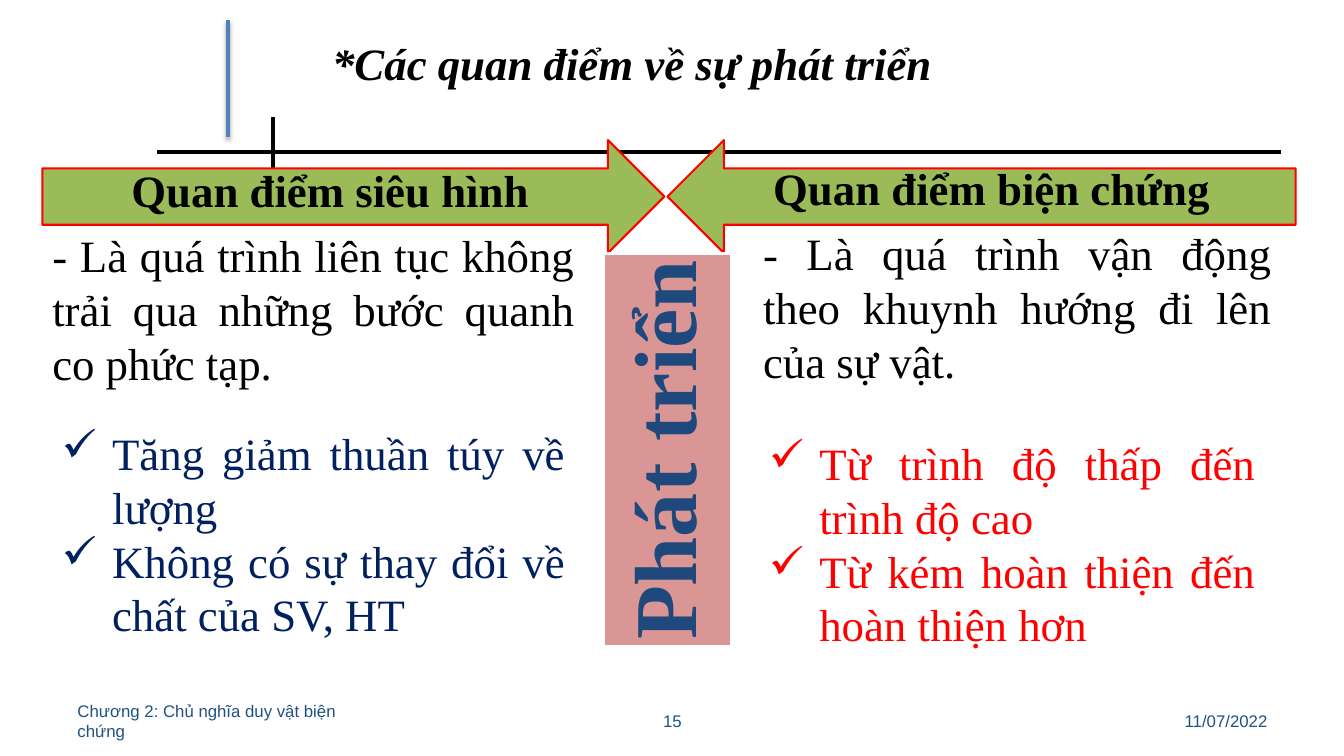
from lxml import etree
from pptx import Presentation
from pptx import util as u
from pptx.dml.color import RGBColor
from pptx.enum import shapes, text
from pptx.oxml import ns

SERIF = "Times New Roman"
A = text.PP_ALIGN
V = text.MSO_ANCHOR
SHAPE = shapes.MSO_SHAPE


def rgb(hex_colour):
    """Return a colour from its hex string."""
    return RGBColor.from_string(hex_colour)


def child(parent, tag, **attrs):
    """Append a DrawingML element to parent."""
    return etree.SubElement(parent, ns.qn(tag), attrs)


def write(sp, lines, size=32, font=SERIF, colour="000000", bold=False, italic=False,
          align=A.JUSTIFY, anchor=V.TOP, spacing=None, bullet=None):
    """Fill a shape with formatted paragraphs."""
    tf = sp.text_frame
    tf.word_wrap = True
    tf.auto_size = text.MSO_AUTO_SIZE.NONE
    tf.vertical_anchor = anchor
    for i, line in enumerate(lines):
        p = tf.paragraphs[0] if i == 0 else tf.add_paragraph()
        p.alignment = align
        if spacing:
            p.line_spacing = spacing
        if bullet:
            pPr = p._p.get_or_add_pPr()
            pPr.set("marL", str(u.Inches(0.5)))
            pPr.set("indent", str(-u.Inches(0.5)))
            child(pPr, "a:buChar", char=bullet)
        r = p.add_run()
        r.text = line
        r.font.name, r.font.size = font, u.Pt(size)
        r.font.bold, r.font.italic = bold, italic
        r.font.color.rgb = rgb(colour)


def add_text(s, box, lines, **fmt):
    """Add a text box."""
    write(s.shapes.add_textbox(*map(u.Inches, box)), lines, **fmt)


def add_shape(s, kind, box, fill=None, line=None, width=1.5):
    """Add a preset shape without a shadow."""
    sp = s.shapes.add_shape(kind, *map(u.Inches, box))
    sp.shadow.inherit = False
    if fill:
        sp.fill.solid()
        sp.fill.fore_color.rgb = rgb(fill)
    else:
        sp.fill.background()
    if line:
        sp.line.color.rgb = rgb(line)
        sp.line.width = u.Pt(width)
    else:
        sp.line.fill.background()
    return sp


def add_line(s, x1, y1, x2, y2, colour="000000"):
    """Add a thick straight line and return its effect list."""
    c = s.shapes.add_connector(shapes.MSO_CONNECTOR.STRAIGHT, *map(u.Inches, (x1, y1, x2, y2)))
    c.line.color.rgb = rgb(colour)
    c.line.width = u.Pt(3)
    return child(c._element.spPr, "a:effectLst")


def add_header(s, x, y, w, h):
    """Place the title and the rules around it."""
    title = s.shapes.title
    title.left, title.top, title.width, title.height = map(u.Inches, (x, y, w, h))
    write(title, ["*Các quan điểm về sự phát triển"], bold=True, italic=True,
          align=A.CENTER, anchor=V.BOTTOM, spacing=0.9)
    add_line(s, x - 0.83, y + 1.36, x + 10.32, y + 1.36)
    add_line(s, x + 0.32, y + 1.01, x + 0.32, y + 1.54)
    effects = add_line(s, x - 0.13, y + 0.05, x - 0.13, y + 1.21, "4F81BD")
    shadow = child(effects, "a:outerShdw", blurRad=str(u.Pt(3.1)), dist=str(u.Pt(1.8)),
                   dir="5400000", rotWithShape="0")
    child(child(shadow, "a:srgbClr", val="000000"), "a:alpha", val="35000")


def add_heading(s, arrow, box, label_box, label):
    """Place an arrow with its heading on top."""
    add_shape(s, arrow, box, "9BBB59", "FF0000")
    add_text(s, label_box, [label], bold=True, align=A.CENTER)


def add_view(s, box, definition, points_box, points, colour):
    """Place a definition and its ticked points."""
    add_text(s, box, [definition])
    sp = add_shape(s, SHAPE.FLOWCHART_ALTERNATE_PROCESS, points_box)
    write(sp, points, colour=colour, anchor=V.MIDDLE, bullet="✓")


def add_banner(s, x, y, w, h):
    """Place the central label, turned to read upwards."""
    sp = add_shape(s, SHAPE.RECTANGLE, (x, y, w, h), "D99694", "FFFFFF", 2)
    sp.rotation = 270
    tf = sp.text_frame
    tf.margin_left = tf.margin_right = tf.margin_top = tf.margin_bottom = u.Inches(0.04)
    write(sp, ["Phát triển"], size=63, colour="1F497D", bold=True, align=A.CENTER,
          anchor=V.MIDDLE, spacing=0.9)


def add_footer(s, x, y, w, h):
    """Place chapter, page number and date along the bottom."""
    side, middle = 3.11, 4.22
    parts = (
        (x, side, "Chương 2: Chủ nghĩa duy vật biện chứng", A.LEFT),
        (x + (w - middle) / 2, middle, "15", A.CENTER),
        (x + w - side, side, "11/07/2022", A.RIGHT),
    )
    for left, width, label, align in parts:
        add_text(s, (left, y, width, h), [label], size=12, font="Arial", colour="1F5281",
                 align=align, anchor=V.MIDDLE)


def main():
    """Build and save the slide."""
    prs = Presentation()
    prs.slide_width, prs.slide_height = u.Inches(13.33), u.Inches(7.5)
    s = prs.slides.add_slide(prs.slide_layouts[5])
    add_header(s, 2.39, 0.15, 7.76, 0.8)
    add_heading(s, SHAPE.LEFT_ARROW, (6.62, 1.39, 6.23, 1.12),
                (7.12, 1.55, 5.43, 0.64), "Quan điểm biện chứng")
    add_heading(s, SHAPE.RIGHT_ARROW, (0.42, 1.39, 6.17, 1.12),
                (0.56, 1.57, 5.43, 0.64), "Quan điểm siêu hình")
    add_banner(s, 4.67, 3.83, 3.9, 1.27)
    add_view(s, (0.42, 2.21, 5.38, 1.72),
             "- Là quá trình liên tục không trải qua những bước quanh co phức tạp.",
             (0.42, 4.33, 5.38, 1.92),
             ["Tăng giảm thuần túy về lượng", "Không có sự thay đổi về chất của SV, HT"],
             "002060")
    add_view(s, (7.47, 2.19, 5.24, 1.72),
             "- Là quá trình vận động theo khuynh hướng đi lên của sự vật.",
             (7.41, 4.18, 5.26, 2.42),
             ["Từ trình độ thấp đến trình độ cao", "Từ kém hoàn thiện đến hoàn thiện hơn"],
             "FF0000")
    add_footer(s, 0.67, 6.95, 12, 0.4)
    prs.save("out.pptx")


if __name__ == "__main__":
    main()
